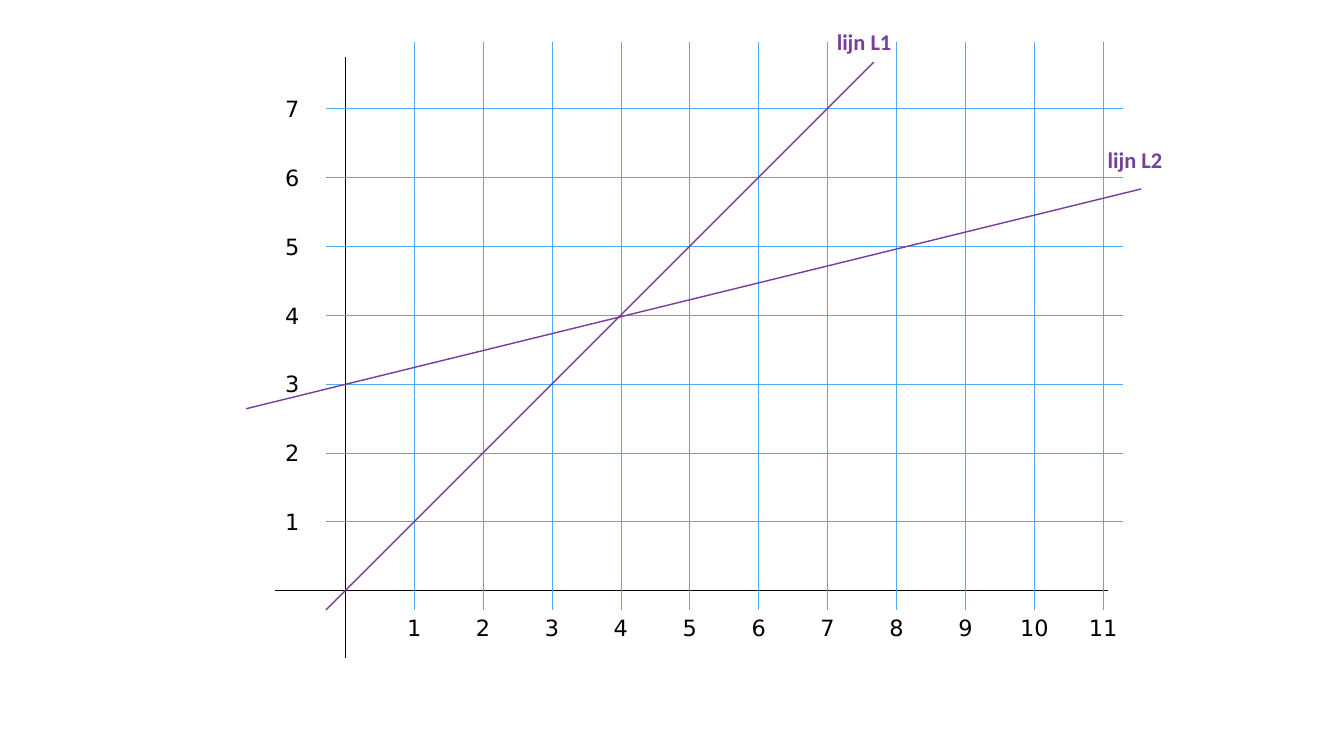
"""Draw two crossing lines on a numbered grid."""
from lxml.etree import SubElement
from pptx import Presentation
from pptx.dml.color import RGBColor
from pptx.enum.shapes import MSO_CONNECTOR
from pptx.enum.text import MSO_ANCHOR, MSO_AUTO_SIZE, PP_ALIGN
from pptx.oxml.ns import qn
from pptx.util import Pt

COLS, ROWS = range(1, 12), range(1, 8)
AXES = [((0, -0.98), (0, 7.75)), ((-1.02, 0), (11.07, 0))]
LINES = [
    ("lijn L1", (7.53, 7.97), (-0.28, -0.28), (7.67, 7.67)),
    ("lijn L2", (11.46, 6.26), (-1.44, 2.64), (11.55, 5.83)),
]
START, RIGHT, TOP = -0.285, 11.285, 7.965
NUM_X, NUM_Y = -0.77, -0.54

LEFT, BASE, STEP = 493.2, 843.84, 98.44
THEME = {
    "axis": RGBColor(0x00, 0x00, 0x00),
    "grid": RGBColor(0x51, 0xA8, 0xF9),
    "line": RGBColor(0x77, 0x3F, 0x9B),
    "number": "DejaVu Sans",
    "name": "Calibri",
    "size": 32,
    "thick": 2,
    "thin": 1,
    "inset": 5.6,
}


def place(point):
    x, y = point
    return LEFT + x * STEP, BASE - y * STEP


def draw(slide, start, end, color, width):
    ends = [Pt(v) for v in place(start) + place(end)]
    line = slide.shapes.add_connector(MSO_CONNECTOR.STRAIGHT, *ends)
    line.line.color.rgb = THEME[color]
    line.line.width = Pt(THEME[width])
    SubElement(line._element.spPr, qn("a:effectLst"))


def label(slide, text, point, size, font, color, bold=False):
    x, y = place(point)
    wide, high = size
    box = slide.shapes.add_textbox(Pt(x - wide / 2), Pt(y - high / 2), Pt(wide), Pt(high))
    frame = box.text_frame
    frame.word_wrap = False
    frame.auto_size = MSO_AUTO_SIZE.SHAPE_TO_FIT_TEXT
    frame.vertical_anchor = MSO_ANCHOR.MIDDLE
    for side in ("left", "right", "top", "bottom"):
        setattr(frame, f"margin_{side}", Pt(THEME["inset"]))
    para = frame.paragraphs[0]
    para.alignment = PP_ALIGN.CENTER
    run = para.add_run()
    run.text = text
    run.font.name = THEME[font]
    run.font.size = Pt(THEME["size"])
    run.font.bold = bold
    run.font.color.rgb = THEME[color]


def number(slide, value, point):
    text = str(value)
    wide = 11.5 + 20.9 * len(text)
    label(slide, text, point, (wide, 50.4), "number", "axis")


def main():
    deck = Presentation()
    deck.slide_width, deck.slide_height = Pt(1920), Pt(1080)
    slide = deck.slides.add_slide(deck.slide_layouts[6])
    for start, end in AXES:
        draw(slide, start, end, "axis", "thick")
    for row in ROWS:
        number(slide, row, (NUM_X, row))
        draw(slide, (START, row), (RIGHT, row), "grid", "thin")
    for col in COLS:
        number(slide, col, (col, NUM_Y))
        draw(slide, (col, START), (col, TOP), "grid", "thin")
    for name, spot, start, end in LINES:
        draw(slide, start, end, "line", "thick")
        label(slide, name, spot, (90, 43.2), "name", "line", True)
    deck.save("out.pptx")


if __name__ == "__main__":
    main()
